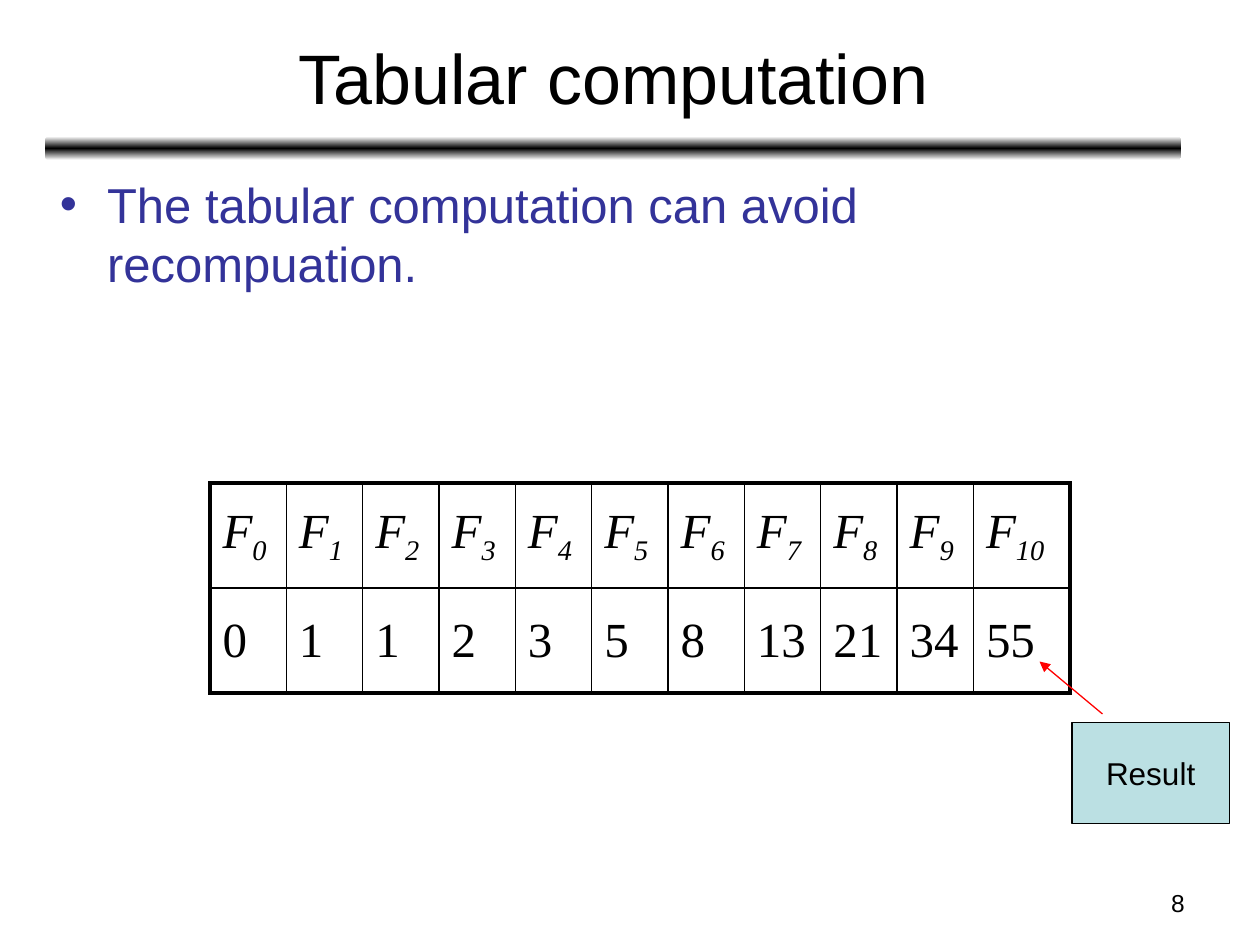
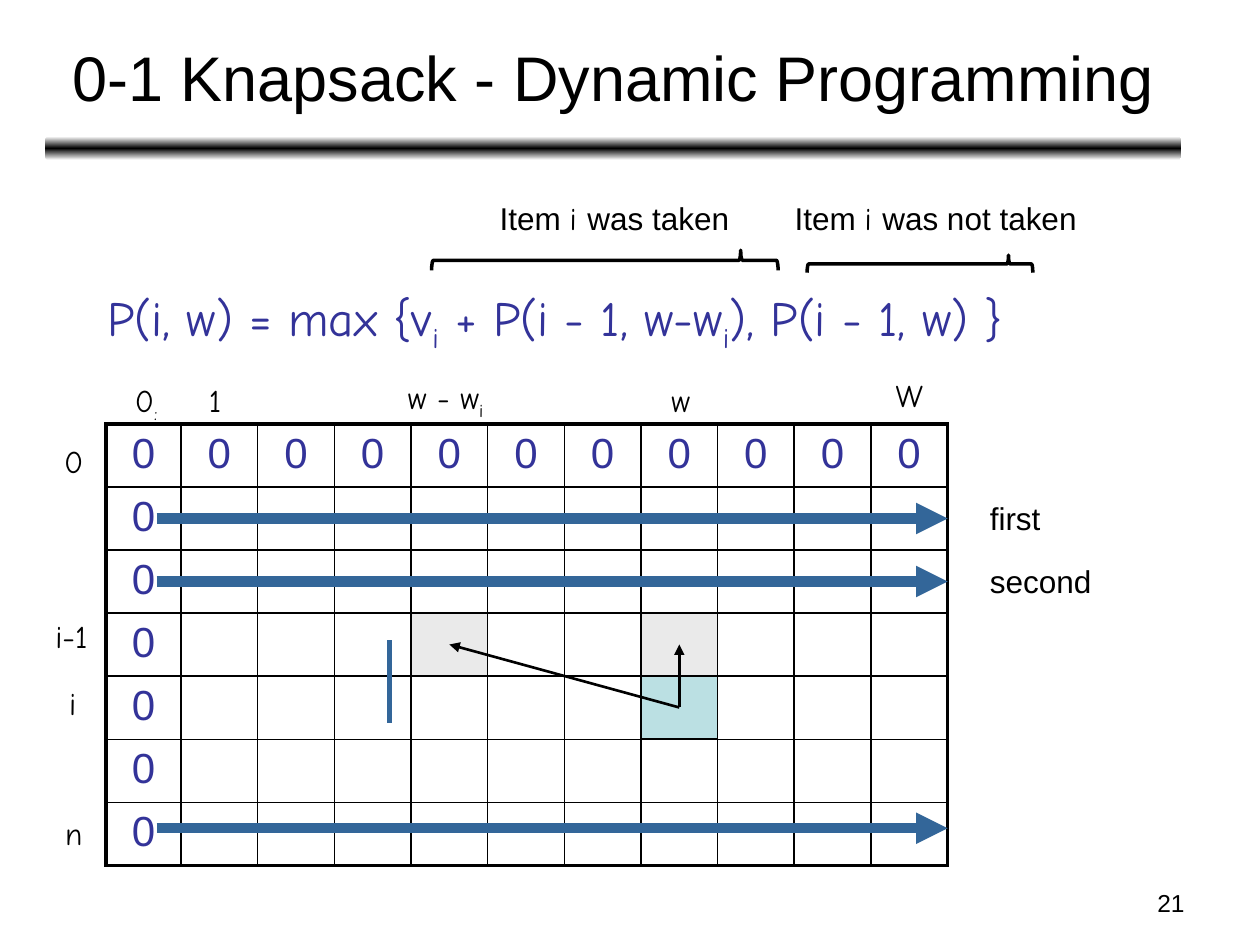
from lxml.etree import SubElement
from pptx import Presentation
from pptx.dml.color import RGBColor
from pptx.enum.shapes import MSO_CONNECTOR, MSO_SHAPE
from pptx.enum.text import MSO_ANCHOR, MSO_AUTO_SIZE, PP_ALIGN
from pptx.oxml.ns import qn
from pptx.util import Pt

BLACK = RGBColor(0x00, 0x00, 0x00)
WHITE = RGBColor(0xFF, 0xFF, 0xFF)
NAVY = RGBColor(0x33, 0x33, 0x99)
STEEL = RGBColor(0x33, 0x66, 0x99)
RED = RGBColor(0xFF, 0x00, 0x00)
PALE_TEAL = RGBColor(0xBB, 0xE0, 0xE3)
PALE_GREY = RGBColor(0xEA, 0xEA, 0xEA)

SANS, COMIC, SERIF = "Arial", "Comic Neue", "Times New Roman"
SUBSCRIPT = "-25000"
THIN, THICK = 1, 2.25


def add_runs(paragraph, runs, size, color=BLACK, italic=False):
    """Add (text, font) or (text, font, baseline) runs to the paragraph."""
    for text, font, *baseline in runs:
        run = paragraph.add_run()
        run.text = text
        run.font.name = font
        run.font.size = Pt(size)
        run.font.color.rgb = color
        run.font.italic = italic
        if baseline:
            run.font._element.set("baseline", baseline[0])


def place(shape, left, top, width, height):
    shape.left, shape.top = Pt(left), Pt(top)
    shape.width, shape.height = Pt(width), Pt(height)


def add_label(slide, left, top, width, runs, size=18, align=PP_ALIGN.LEFT):
    box = slide.shapes.add_textbox(Pt(left), Pt(top), Pt(width), Pt(29))
    box.text_frame.word_wrap = True
    paragraph = box.text_frame.paragraphs[0]
    paragraph.alignment = align
    add_runs(paragraph, runs, size)


def add_box(slide, left, top, width, height, fill):
    box = slide.shapes.add_shape(MSO_SHAPE.RECTANGLE, Pt(left), Pt(top), Pt(width), Pt(height))
    box.shadow.inherit = False
    box.fill.solid()
    box.fill.fore_color.rgb = fill
    box.line.color.rgb = BLACK
    box.line.width = Pt(0.75)
    return box


def add_line(slide, start, end, color, width, arrow=True):
    line = slide.shapes.add_connector(MSO_CONNECTOR.STRAIGHT, *map(Pt, start + end))
    line.line.color.rgb = color
    line.line.width = Pt(width)
    properties = line._element.spPr
    if arrow:
        SubElement(properties.find(qn("a:ln")), qn("a:tailEnd"), type="triangle")
    SubElement(properties, qn("a:effectLst"))


def add_brace(slide, left, top, width, height):
    """Draw an upward brace filling the box: a left brace turned a quarter."""
    brace = slide.shapes.add_shape(
        MSO_SHAPE.LEFT_BRACE,
        Pt(left + (width - height) / 2), Pt(top + (height - width) / 2),
        Pt(height), Pt(width))
    brace.rotation = 90
    brace.adjustments[0], brace.adjustments[1] = 0.083, 0.108
    brace.shadow.inherit = False
    brace.fill.background()
    brace.line.color.rgb = BLACK
    brace.line.width = Pt(2)


def add_title_band(slide):
    band = slide.shapes.add_shape(MSO_SHAPE.ROUNDED_RECTANGLE, Pt(26), Pt(78), Pt(649), Pt(13.5))
    band.shadow.inherit = False
    band.line.fill.background()
    band.fill.gradient()
    band.fill.gradient_angle = 90
    stops = band._element.spPr.find(".//" + qn("a:gsLst"))
    stops.clear()
    for position, color in ((0, WHITE), (50, BLACK), (100, WHITE)):
        stop = SubElement(stops, qn("a:gs"), pos=str(position * 1000))
        SubElement(stop, qn("a:srgbClr"), val=str(color))


def add_base_slide(presentation, title, title_size, number):
    slide = presentation.slides.add_slide(presentation.slide_layouts[1])
    add_title_band(slide)
    heading = slide.shapes.title
    place(heading, 26.5, 8, 648, 71)
    frame = heading.text_frame
    frame.auto_size = MSO_AUTO_SIZE.NONE
    frame.vertical_anchor = MSO_ANCHOR.MIDDLE
    frame.paragraphs[0].alignment = PP_ALIGN.CENTER
    add_runs(frame.paragraphs[0], [(title, SANS)], title_size)
    add_label(slide, 516, 504, 168, [(str(number), SANS)], 14, PP_ALIGN.RIGHT)
    return slide


def fill_body(slide, top, height, runs, bullet):
    body = slide.placeholders[1]
    place(body, 27, top, 648, height)
    body.text_frame.auto_size = MSO_AUTO_SIZE.NONE
    paragraph = body.text_frame.paragraphs[0]
    properties = paragraph._p.get_or_add_pPr()
    properties.set("marL", str(Pt(27)))
    properties.set("indent", str(Pt(-27 if bullet else 0)))
    if bullet:
        SubElement(properties, qn("a:buChar"), char="•")
    else:
        SubElement(properties, qn("a:buNone"))
    add_runs(paragraph, runs, 28, NAVY)


def set_borders(cell, left, right, top, bottom):
    properties = cell._tc.get_or_add_tcPr()
    for side, width in zip("LRTB", (left, right, top, bottom)):
        border = SubElement(properties, qn(f"a:ln{side}"), w=str(Pt(width)))
        fill = SubElement(border, qn("a:solidFill"))
        SubElement(fill, qn("a:srgbClr"), val=str(BLACK))


def add_grid(slide, left, top, column_widths, row_height, row_count):
    """Add an unfilled table with thin inner and thick outer rules."""
    column_count = len(column_widths)
    table = slide.shapes.add_table(
        row_count, column_count, Pt(left), Pt(top),
        Pt(sum(column_widths)), Pt(row_height * row_count)).table
    table.first_row = table.horz_banding = False
    for column, width in zip(table.columns, column_widths):
        column.width = Pt(width)

    def rule(outer):
        return THICK if outer else THIN

    for row in range(row_count):
        table.rows[row].height = Pt(row_height)
        for column in range(column_count):
            cell = table.cell(row, column)
            set_borders(cell, rule(column == 0), rule(column == column_count - 1),
                        rule(row == 0), rule(row == row_count - 1))
            cell.fill.background()
    return table


def add_fibonacci_table(slide, left, top):
    table = add_grid(slide, left, top, [43.65] * 10 + [55.2], 60, 2)
    current, following = 0, 1
    for index in range(11):
        name, value = table.cell(0, index), table.cell(1, index)
        name.vertical_anchor = value.vertical_anchor = MSO_ANCHOR.MIDDLE
        add_runs(name.text_frame.paragraphs[0],
                 [("F", SERIF), (str(index), SERIF, SUBSCRIPT)], 28, italic=True)
        add_runs(value.text_frame.paragraphs[0], [(str(current), SERIF)], 28)
        current, following = following, current + following


def build_tabular_slide(presentation):
    slide = add_base_slide(presentation, "Tabular computation", 40, 8)
    fill_body(slide, 96, 400,
              [("The tabular computation can avoid recompuation.", SANS)], bullet=True)
    add_fibonacci_table(slide, 120, 276)
    add_line(slide, (630, 408), (594, 378), RED, 0.75)
    result = add_box(slide, 612.5, 413, 90, 57.5, PALE_TEAL)
    result.text_frame.vertical_anchor = MSO_ANCHOR.MIDDLE
    paragraph = result.text_frame.paragraphs[0]
    paragraph.alignment = PP_ALIGN.CENTER
    add_runs(paragraph, [("Result", SANS)], 18)


def add_knapsack_grid(slide, left, top):
    first_width, width, height = 43, 43.8, 36

    def cell_box(row, column):
        return left + first_width + (column - 1) * width, top + row * height, width, height

    def center(row, column):
        x, y, *_ = cell_box(row, column)
        return x + width / 2, y + height / 2

    add_box(slide, *cell_box(4, 7), PALE_TEAL)
    table = add_grid(slide, left, top, [first_width] + [width] * 10, height, 7)
    zeros = [(0, column) for column in range(11)] + [(row, 0) for row in range(1, 7)]
    for row, column in zeros:
        paragraph = table.cell(row, column).text_frame.paragraphs[0]
        paragraph.alignment = PP_ALIGN.CENTER
        add_runs(paragraph, [("0", SANS)], 24, NAVY)

    for column in (7, 4):
        add_box(slide, *cell_box(3, column), PALE_GREY)
        add_line(slide, center(4, 7), center(3, column), BLACK, 1.5)

    right = left + first_width + 10 * width
    for row, rise, name in ((1, 0, "first"), (2, 0, "second"), (6, 3, None)):
        y = center(row, 0)[1] - rise
        add_line(slide, (left + 29, y), (right, y), STEEL, 6)
        if name:
            add_label(slide, right + 17, y - 14.5, 74, [(name, SANS)])
    add_line(slide, (left + 162, top + 123.5), (left + 162, top + 171), STEEL, 3, arrow=False)


def build_knapsack_slide(presentation):
    slide = add_base_slide(presentation, "0-1 Knapsack - Dynamic Programming", 36, 21)
    subscript_i = ("i", COMIC, SUBSCRIPT)
    fill_body(slide, 160.5, 57, [
        ("P(i, w) = max {v", COMIC), subscript_i,
        (" + P(i - 1, w-w", COMIC), subscript_i,
        ("), P(i - 1, w) }", COMIC)], bullet=False)

    for left, width, outcome in ((278.5, 149, "was taken"), (447, 179, "was not taken")):
        add_label(slide, left, 110, width, [("Item ", SANS), ("i ", COMIC), (outcome, SANS)])
    add_brace(slide, 246.6, 143, 198, 11.5)
    add_brace(slide, 461.2, 145.8, 129, 10)

    add_knapsack_grid(slide, 60.5, 242.3)
    axis_labels = (
        (70, 214, 31, [("0", COMIC), (":", COMIC, SUBSCRIPT)]),
        (112.3, 214, 25, [("1", COMIC)]),
        (226, 212.5, 64, [("w - w", COMIC), subscript_i]),
        (376.5, 214, 29, [("w", COMIC)]),
        (504.7, 211.5, 36, [("W", COMIC)]),
        (29.5, 249, 27, [("0", COMIC)]),
        (24.5, 349, 38, [("i-1", COMIC)]),
        (32.4, 387.4, 22, [("i", COMIC)]),
        (30.2, 461.5, 26, [("n", COMIC)]),
    )
    for left, top, width, runs in axis_labels:
        add_label(slide, left, top, width, runs)


def main():
    presentation = Presentation()
    presentation.slide_width, presentation.slide_height = Pt(720), Pt(540)
    build_tabular_slide(presentation)
    build_knapsack_slide(presentation)
    presentation.save("out.pptx")


if __name__ == "__main__":
    main()
